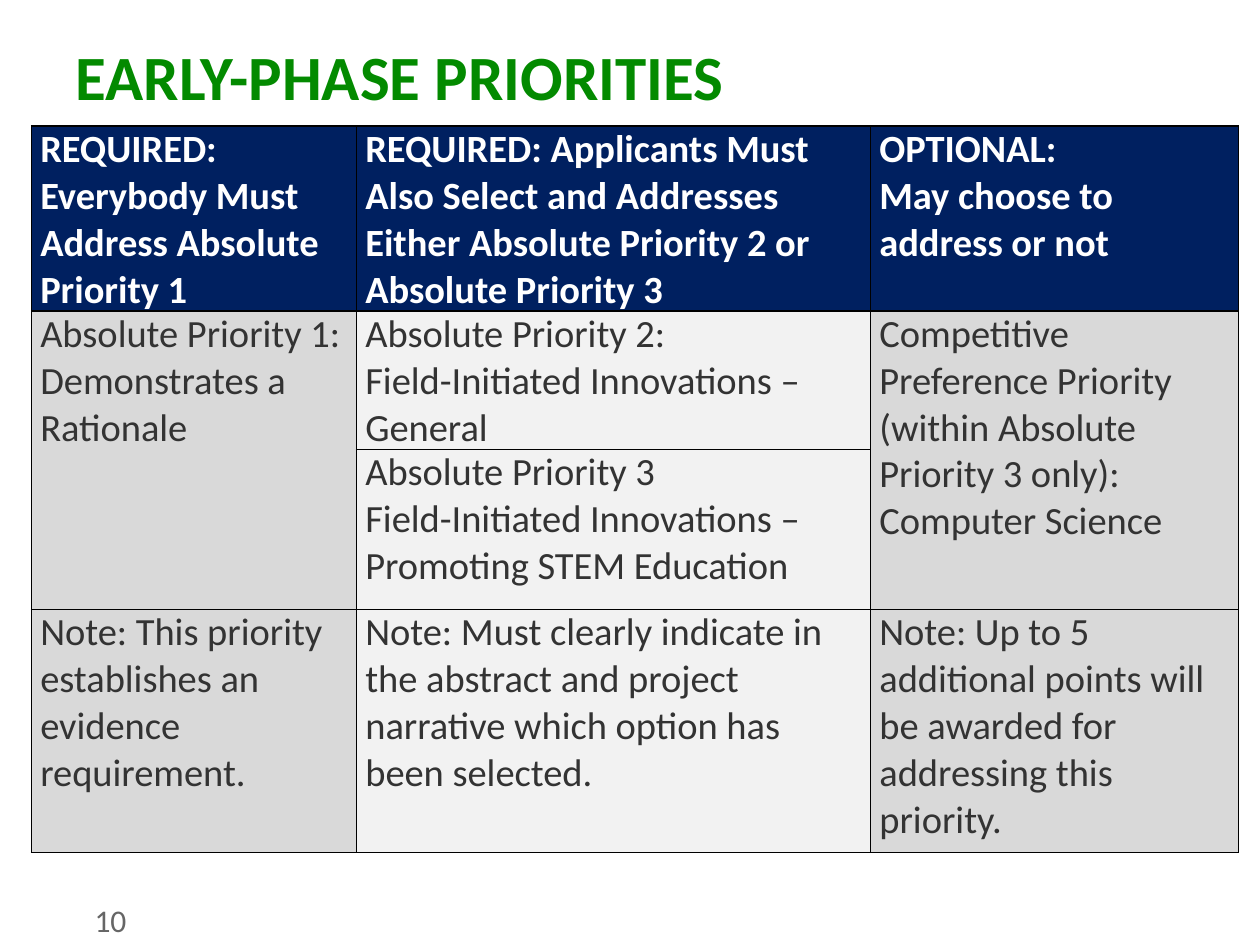
"""Build the slide that compares the early-phase grant priorities."""
from dataclasses import dataclass

from lxml import etree
from pptx import Presentation
from pptx import util as u
from pptx.dml import color
from pptx.enum import text
from pptx.oxml import ns


@dataclass(frozen=True)
class Theme:
    font: str = "Calibri"
    title: str = "038A00"
    header_fill: str = "002060"
    header_text: str = "FFFFFF"
    outer_fill: str = "D9D9D9"
    middle_fill: str = "F2F2F2"
    body: str = "333333"
    number: str = "666666"
    border: str = "000000"
    title_size: int = 36
    table_size: int = 22
    number_size: int = 18


THEME = Theme()
COLUMN_WIDTHS = [2.58, 4.08, 2.92]
ROW_HEIGHTS = [1.4, 0.86, 1.27, 1.93]
MERGED_COLUMNS = [0, 2]
CELL_MARGINS = {"margin_left": 0.07, "margin_right": 0.07, "margin_top": 0, "margin_bottom": 0}
PRIORITIES = [
    [
        ["REQUIRED: Everybody Must Address Absolute Priority 1"],
        ["REQUIRED: Applicants Must Also Select and Addresses",
         "Either Absolute Priority 2 or Absolute Priority 3"],
        ["OPTIONAL:", "May choose to address or not"],
    ],
    [
        ["Absolute Priority 1:", "Demonstrates a Rationale"],
        ["Absolute Priority 2:", "Field-Initiated Innovations – General"],
        ["Competitive Preference Priority (within Absolute Priority 3 only):",
         "Computer Science"],
    ],
    [
        None,
        ["Absolute Priority 3", "Field-Initiated Innovations – Promoting STEM Education"],
        None,
    ],
    [
        ["Note: This priority establishes an evidence requirement."],
        ["Note: Must clearly indicate in the abstract and project narrative "
         "which option has been selected."],
        ["Note: Up to 5 additional points will be awarded for addressing this priority."],
    ],
]


def set_values(target, values):
    for name, value in values.items():
        setattr(target, name, value)


def write_text(frame, lines, size, hue, bold=False):
    frame.text = "\n".join(lines)
    for paragraph in frame.paragraphs:
        paragraph.alignment = text.PP_ALIGN.LEFT
        for run in paragraph.runs:
            set_values(run.font, {"name": THEME.font, "size": u.Pt(size), "bold": bold})
            run.font.color.rgb = color.RGBColor.from_string(hue)


def place(shape, left, top, width, height):
    names = ("left", "top", "width", "height")
    set_values(shape, dict(zip(names, map(u.Inches, (left, top, width, height)))))


def add_title(slide, wording):
    title = slide.shapes.title
    place(title, 0.5, 0.25, 9, 0.62)
    set_values(title.text_frame, {
        "vertical_anchor": text.MSO_ANCHOR.TOP,
        "auto_size": text.MSO_AUTO_SIZE.NONE,
        "word_wrap": True,
    })
    write_text(title.text_frame, [wording], THEME.title_size, THEME.title, True)


def add_page_number(slide, number):
    box = slide.shapes.add_textbox(*map(u.Inches, (0.75, 7.1, 0.58, 0.4)))
    set_values(box.text_frame, {"margin_left": 0, "margin_right": 0, "word_wrap": True})
    write_text(box.text_frame, [number], THEME.number_size, THEME.number)


def add_borders(cell):
    properties = cell._tc.get_or_add_tcPr()
    for side in ("lnL", "lnR", "lnT", "lnB"):
        line = etree.SubElement(properties, ns.qn(f"a:{side}"), w=str(u.Pt(1)))
        fill = etree.SubElement(line, ns.qn("a:solidFill"))
        etree.SubElement(fill, ns.qn("a:srgbClr"), val=THEME.border)


def format_cell(cell, fill):
    set_values(cell, {name: u.Inches(value) for name, value in CELL_MARGINS.items()})
    add_borders(cell)
    cell.fill.solid()
    cell.fill.fore_color.rgb = color.RGBColor.from_string(fill)


def add_priority_table(slide):
    frame = slide.shapes.add_table(
        len(ROW_HEIGHTS), len(COLUMN_WIDTHS), u.Inches(0.25), u.Inches(1),
        u.Inches(sum(COLUMN_WIDTHS)), u.Inches(sum(ROW_HEIGHTS)))
    table = frame.table
    for column, width in zip(table.columns, COLUMN_WIDTHS):
        column.width = u.Inches(width)
    for row, height in zip(table.rows, ROW_HEIGHTS):
        row.height = u.Inches(height)
    for index in MERGED_COLUMNS:
        table.cell(1, index).merge(table.cell(2, index))
    column_fills = [THEME.outer_fill, THEME.middle_fill, THEME.outer_fill]
    for row, entries in enumerate(PRIORITIES):
        header = row == 0
        hue = THEME.header_text if header else THEME.body
        for column, lines in enumerate(entries):
            cell = table.cell(row, column)
            format_cell(cell, THEME.header_fill if header else column_fills[column])
            if lines:
                write_text(cell.text_frame, lines, THEME.table_size, hue, header)


def main():
    presentation = Presentation()
    set_values(presentation, {"slide_width": u.Inches(10), "slide_height": u.Inches(7.5)})
    slide = presentation.slides.add_slide(presentation.slide_layouts[5])
    add_title(slide, "EARLY-PHASE PRIORITIES")
    add_page_number(slide, "10")
    add_priority_table(slide)
    presentation.save("out.pptx")


if __name__ == "__main__":
    main()
